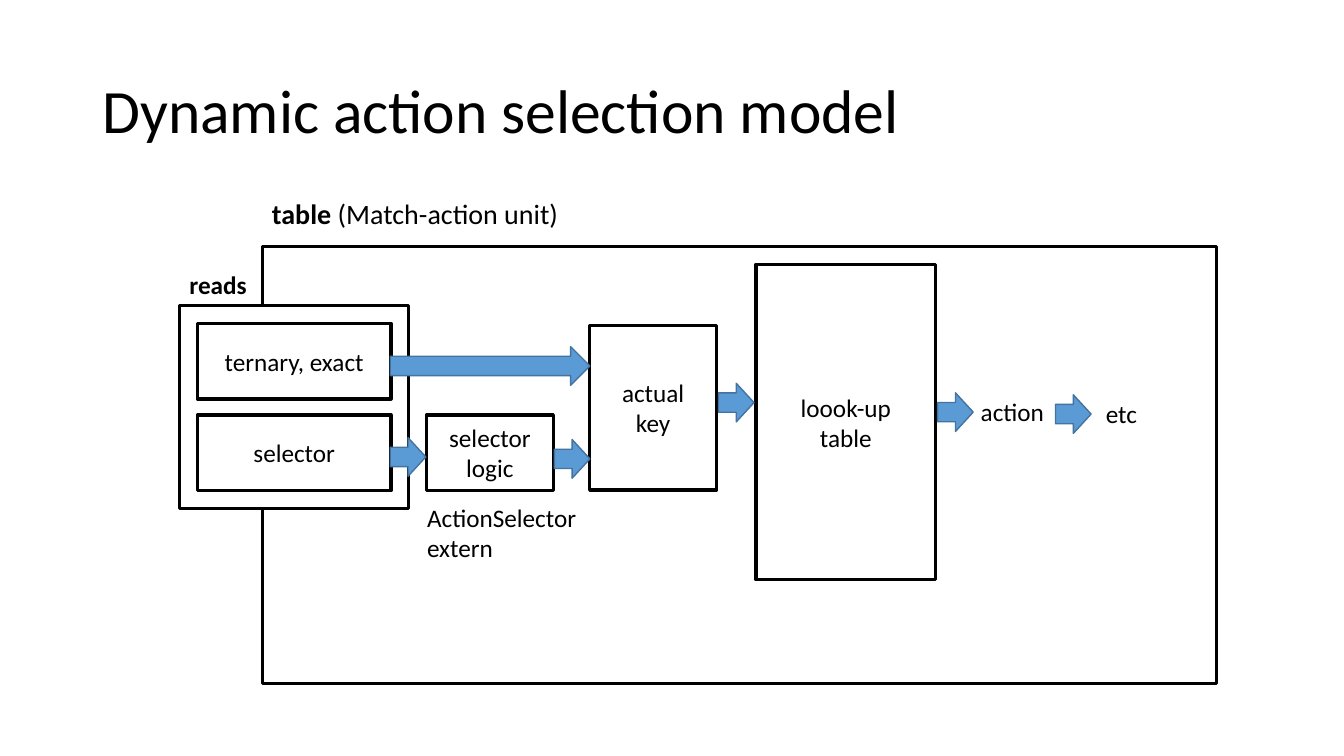
from pptx import Presentation
from pptx.dml.color import RGBColor
from pptx.enum.shapes import MSO_SHAPE as Preset
from pptx.enum.text import MSO_ANCHOR as Anchor, PP_ALIGN as Align
from pptx.util import Pt

BLACK, WHITE, BLUE, DARK_BLUE = "000000", "FFFFFF", "5B9BD5", "43739E"


def color(hex_code):
    """Turn a hex string into a colour."""
    return RGBColor.from_string(hex_code)


def write(frame, text, size=18, align=Align.LEFT):
    """Fill a text frame and format every run."""
    frame.text = text
    for paragraph in frame.paragraphs:
        paragraph.alignment = align
        for run in paragraph.runs:
            run.font.name = "Calibri"
            run.font.size = Pt(size)
            run.font.color.rgb = color(BLACK)


def add_preset(slide, preset, place, fill, outline, weight):
    """Add a preset shape without shadow."""
    shape = slide.shapes.add_shape(preset, *map(Pt, place))
    shape.shadow.inherit = False
    if fill:
        shape.fill.solid()
        shape.fill.fore_color.rgb = color(fill)
    else:
        shape.fill.background()
    shape.line.color.rgb = color(outline)
    shape.line.width = Pt(weight)
    return shape


def add_box(slide, place, text="", fill=None):
    """Add a black-outlined box with centred text."""
    box = add_preset(slide, Preset.RECTANGLE, place, fill, BLACK, 2.25)
    if text:
        box.text_frame.vertical_anchor = Anchor.MIDDLE
        write(box.text_frame, text, align=Align.CENTER)


def add_arrow(slide, left, top, width=25.4):
    """Add a blue block arrow pointing right."""
    add_preset(slide, Preset.RIGHT_ARROW, (left, top, width, 27.6), BLUE, DARK_BLUE, 1)


def add_label(slide, place, text, size=18):
    """Add unwrapped text and return its frame."""
    frame = slide.shapes.add_textbox(*map(Pt, place)).text_frame
    frame.word_wrap = False
    write(frame, text, size)
    return frame


def add_title(slide, text):
    """Add the slide title."""
    frame = add_label(slide, (66, 28.8, 828, 104.4), text, 44)
    frame.word_wrap = True
    frame.vertical_anchor = Anchor.MIDDLE
    frame.paragraphs[0].line_spacing = 0.9


def add_heading(slide, place, keyword, rest="", size=18):
    """Add a label that opens with a bold keyword."""
    paragraph = add_label(slide, place, keyword, size).paragraphs[0]
    paragraph.runs[0].font.bold = True
    if rest:
        tail = paragraph.add_run()
        tail.text = rest
        tail.font.name = "Calibri"
        tail.font.size = Pt(size)
        tail.font.color.rgb = color(BLACK)


def main():
    """Build the slide and save it."""
    deck = Presentation()
    deck.slide_width, deck.slide_height = Pt(960), Pt(540)
    slide = deck.slides.add_slide(deck.slide_layouts[6])

    add_title(slide, "Dynamic action selection model")
    add_box(slide, (187.6, 176.2, 681.4, 311.8))
    add_heading(slide, (187.2, 136.8, 221, 31.5), "table", " (Match-action unit)", 20)
    add_box(slide, (128.2, 218.2, 163.4, 144.8), fill=WHITE)
    add_heading(slide, (128.2, 188.6, 55.4, 29), "reads")

    stages = [
        ((141, 231, 138.4, 54), "ternary, exact"),
        ((141, 296.4, 138.4, 54), "selector"),
        ((304.6, 296.4, 90.7, 54), "selector\nlogic"),
        ((421.2, 232.4, 90.7, 117.6), "actual\vkey"),
        ((540, 188.8, 128.4, 225.4), "loook-up\ntable"),
    ]
    for place, text in stages:
        add_box(slide, place, text)

    add_arrow(slide, 278.8, 247.6, 142.6)
    for left, top in [(278.8, 312.6), (396, 314), (513.2, 273.8), (669.8, 280.6), (754, 282)]:
        add_arrow(slide, left, top)

    add_label(slide, (298, 355, 122.4, 51), "ActionSelector\nextern")
    add_label(slide, (693.4, 279.4, 60.4, 29), "action")
    add_label(slide, (782.8, 281, 36.8, 29), "etc")
    deck.save("out.pptx")


if __name__ == "__main__":
    main()
